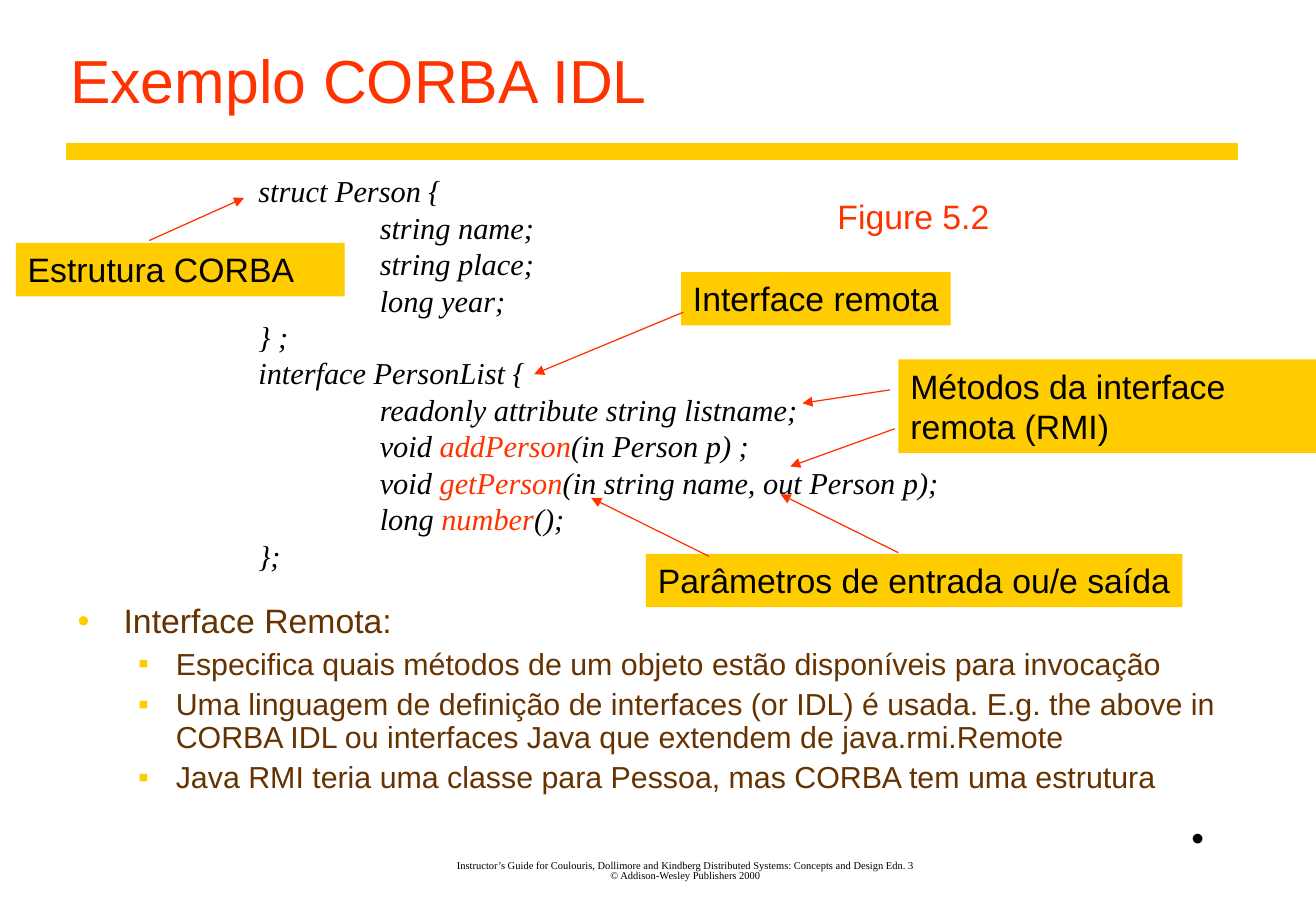
from lxml import etree
from pptx import Presentation
from pptx.dml.color import RGBColor
from pptx.enum.shapes import MSO_CONNECTOR as CONN, MSO_SHAPE as SHAPE
from pptx.enum.text import MSO_ANCHOR as ANCHOR, MSO_AUTO_SIZE as AUTO, PP_ALIGN as ALIGN
from pptx.oxml.ns import qn
from pptx.util import Inches, Pt

COLORS = {"black": "000000", "red": "FF3300", "yellow": "FFCC00", "brown": "663300"}
SANS, SERIF = "Arial", "Times New Roman"


def rgb(name):
    return RGBColor.from_string(COLORS[name])


class SlideBuilder:
    def __init__(self, prs):
        self.s = prs.slides.add_slide(prs.slide_layouts[6])

    def add_runs(self, p, parts, size, color="black", font=SANS, italic=False):
        """Fill a paragraph; parts is a string or a list of (text, colour)."""
        for text, part_color in [(parts, color)] if isinstance(parts, str) else parts:
            r = p.add_run()
            r.text = text
            r.font.color.rgb = rgb(part_color)
            for key, value in {"size": Pt(size), "name": font, "italic": italic}.items():
                setattr(r.font, key, value)

    def frame(self, sp, frame_format):
        values = {"word_wrap": True, "vertical_anchor": ANCHOR.TOP, "auto_size": AUTO.NONE}
        for key, value in {**values, **frame_format}.items():
            setattr(sp.text_frame, key, value)
        return sp.text_frame

    def box(self, at, **frame_format):
        sp = self.s.shapes.add_textbox(*map(Inches, at))
        return self.frame(sp, frame_format)

    def text(self, at, text, size, color="black", font=SANS, **frame_format):
        p = self.box(at, **frame_format).paragraphs[0]
        self.add_runs(p, text, size, color, font)
        return p

    def label(self, at, text, wrap=True):
        sp = self.s.shapes.add_shape(SHAPE.RECTANGLE, *map(Inches, at))
        sp.shadow.inherit = False
        sp.fill.solid()
        sp.fill.fore_color.rgb = rgb("yellow")
        sp.line.fill.background()
        p = self.frame(sp, {"word_wrap": wrap}).paragraphs[0]
        p.alignment = ALIGN.LEFT
        self.add_runs(p, text, 20)

    def line(self, start, end, color, width):
        c = self.s.shapes.add_connector(CONN.STRAIGHT, *map(Inches, start + end))
        c.line.color.rgb = rgb(color)
        c.line.width = Pt(width)
        etree.SubElement(c._element.spPr, qn("a:effectLst"))
        return c

    def arrow(self, start, end):
        c = self.line(start, end, "red", 0.75)
        ln = c._element.spPr.find(qn("a:ln"))
        etree.SubElement(ln, qn("a:tailEnd"), type="triangle")

    def code(self, at, lines):
        tf = self.box(at)
        for i, parts in enumerate(lines):
            p = tf.add_paragraph() if i else tf.paragraphs[0]
            tabs = etree.SubElement(p._p.get_or_add_pPr(), qn("a:tabLst"))
            etree.SubElement(tabs, qn("a:tab"), pos=str(Inches(1)), algn="l")
            self.add_runs(p, parts, 18, font=SERIF, italic=True)

    def bullets(self, at, items):
        """Set items of (level, text) as a two-level list."""
        styles = [("•", 0.38, 0.38, 20), ("▪", 0.81, 0.31, 18)]
        tf = self.box(at)
        for i, (level, text) in enumerate(items):
            char, margin, hang, size = styles[level]
            p = tf.add_paragraph() if i else tf.paragraphs[0]
            p.level = level
            p.line_spacing = 0.9
            if i:
                p.space_before = Pt(4.5)
            pPr = p._p.get_or_add_pPr()
            pPr.set("marL", str(Inches(margin)))
            pPr.set("indent", str(-Inches(hang)))
            clr = etree.SubElement(pPr, qn("a:buClr"))
            etree.SubElement(clr, qn("a:srgbClr"), val=COLORS["yellow"])
            etree.SubElement(pPr, qn("a:buFont"), typeface=SANS)
            etree.SubElement(pPr, qn("a:buChar"), char=char)
            self.add_runs(p, text, size, "brown")


def method(kind, name, rest):
    return [(f"\t{kind} ", "black"), (name, "red"), (rest, "black")]


IDL = [
    "struct Person {",
    "\tstring name;",
    "\tstring place;",
    "\tlong year;",
    "} ;",
    "interface PersonList {",
    "\treadonly attribute string listname;",
    method("void", "addPerson", "(in Person p) ;"),
    method("void", "getPerson", "(in string name, out Person p);"),
    method("long", "number", "();"),
    "};",
]
NOTES = [
    (0, "Interface Remota:"),
    (1, "Especifica quais métodos de um objeto estão disponíveis para invocação"),
    (1, "Uma linguagem de definição de interfaces (or IDL) é usada. E.g. the above in "
        "CORBA IDL ou interfaces Java que extendem de java.rmi.Remote"),
    (1, "Java RMI teria uma classe para Pessoa, mas CORBA tem uma estrutura"),
]
FOOTER = [
    "Instructor’s Guide for Coulouris, Dollimore and Kindberg "
    "Distributed Systems: Concepts and Design Edn. 3",
    "© Addison-Wesley Publishers 2000",
]
# box, text, wrap, arrows
CALLOUTS = [
    ((5.32, 4.56, 4.42, 0.44), "Parâmetros de entrada ou/e saída", False,
     [((5.84, 4.58), (4.87, 4.1)), ((7.4, 4.55), (6.43, 4.07))]),
    ((5.61, 2.24, 2.22, 0.44), "Interface remota", False, [((5.63, 2.57), (4.4, 3.08))]),
    ((7.4, 2.96, 3.44, 0.77), "Métodos da interface remota (RMI)", True,
     [((7.37, 3.53), (6.51, 3.84)), ((7.33, 3.21), (6.61, 3.32))]),
    ((0.13, 2, 2.71, 0.44), "Estrutura CORBA", True, [((1.23, 1.98), (2.01, 1.63))]),
]


def main():
    prs = Presentation()
    prs.slide_width, prs.slide_height = Inches(10.84), Inches(7.5)
    b = SlideBuilder(prs)

    b.line((0.54, 1.25), (10.2, 1.25), "yellow", 10)
    p = b.text((2.35, 7, 6.59, 0.31), FOOTER[0], 6.2, font=SERIF,
               vertical_anchor=ANCHOR.BOTTOM)
    p.alignment = ALIGN.CENTER
    p.line_spacing = 0.8
    p.add_line_break()
    b.add_runs(p, FOOTER[1], 6.2, font=SERIF)

    b.text((0.48, 0.25, 9.72, 0.75), "Exemplo CORBA IDL", 36, "red",
           vertical_anchor=ANCHOR.BOTTOM)
    b.code((2.03, 1.37, 5.81, 3.4), IDL)
    b.bullets((0.54, 4.93, 9.69, 1.9), NOTES)
    b.text((6.8, 1.56, 1.45, 0.44), "Figure 5.2", 20, "red", word_wrap=False)
    for at, text, wrap, arrows in CALLOUTS:
        b.label(at, text, wrap)
        for start, end in arrows:
            b.arrow(start, end)
    b.text((9.71, 6.64, 0.31, 0.5), "•", 24, font=SERIF, word_wrap=False)

    prs.save("out.pptx")


if __name__ == "__main__":
    main()
